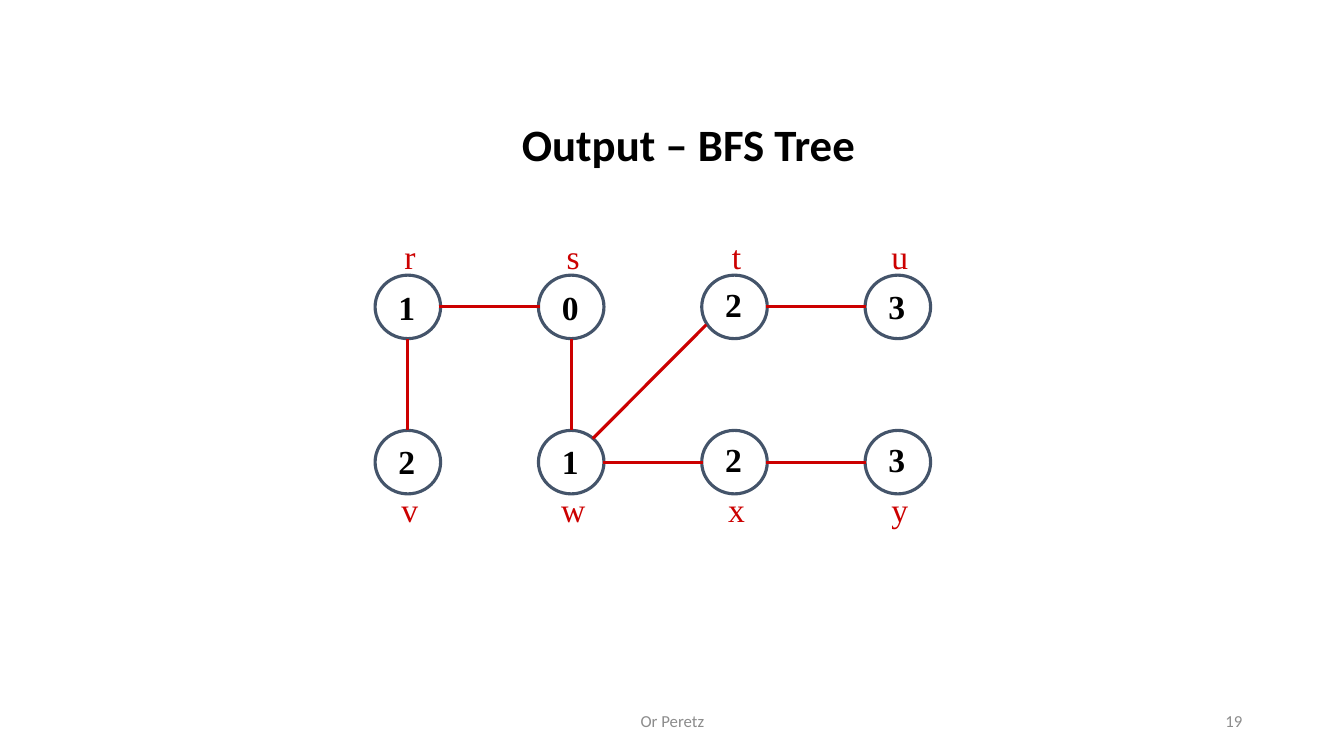
from lxml import etree
from pptx import Presentation
from pptx import util as u
from pptx.dml.color import RGBColor
from pptx.enum import shapes, text
from pptx.oxml.ns import qn

COLORS = {"ring": "44546A", "red": "CC0000", "black": "000000", "gray": "8C8C8C"}
NODE_WIDTH, NODE_HEIGHT = 0.65, 0.63
COLUMN_STEP, ROW_STEP = 1.62, 1.54
TEXT_HEIGHT = 0.5

# Each row of the tree: label offset from the node top, then (label, label width,
# distance, distance offset from the node top) for each column.
ROWS = [
    (-0.44, [("r", 0.31, "1", 0.07), ("s", 0.33, "0", 0.07),
             ("t", 0.29, "2", 0.04), ("u", 0.37, "3", 0.06)]),
    (0.53, [("v", 0.37, "2", 0.06), ("w", 0.44, "1", 0.06),
            ("x", 0.37, "2", 0.04), ("y", 0.37, "3", 0.04)]),
]

# Points on a node, as fractions of its width and height.
TOP, LEFT, BOTTOM, RIGHT = (0.5, 0), (0.02, 0.5), (0.5, 1), (0.98, 0.5)
UPPER_RIGHT, LOWER_LEFT = (0.83, 0.13), (0.07, 0.78)
EDGES = [
    ("r", RIGHT, "s", LEFT), ("t", RIGHT, "u", LEFT),
    ("w", RIGHT, "x", LEFT), ("x", RIGHT, "y", LEFT),
    ("r", BOTTOM, "v", TOP), ("s", BOTTOM, "w", TOP),
    ("w", UPPER_RIGHT, "t", LOWER_LEFT),
]


def color(name):
    return RGBColor.from_string(COLORS[name])


def add_text(page, box, words, size, font, color_name, bold=False,
             align=text.PP_ALIGN.CENTER, fitted=False):
    """Add one line of text; a fitted box hugs it without wrapping."""
    frame = page.shapes.add_textbox(*map(u.Inches, box)).text_frame
    frame.word_wrap = not fitted
    if fitted:
        frame.auto_size = text.MSO_AUTO_SIZE.SHAPE_TO_FIT_TEXT
    else:
        frame.vertical_anchor = text.MSO_ANCHOR.MIDDLE
    frame.text = words
    para = frame.paragraphs[0]
    para.alignment = align
    span = para.runs[0].font
    span.size, span.name, span.bold = u.Pt(size), font, bold
    span.color.rgb = color(color_name)
    return para


def add_node(page, left, top):
    ring = page.shapes.add_shape(
        shapes.MSO_SHAPE.OVAL,
        *map(u.Inches, (left, top, NODE_WIDTH, NODE_HEIGHT)))
    ring.shadow.inherit = False
    ring.fill.background()
    ring.line.color.rgb = color("ring")
    ring.line.width = u.Pt(2.25)


def add_edge(page, start, end):
    edge = page.shapes.add_connector(
        shapes.MSO_CONNECTOR.STRAIGHT, *map(u.Inches, start + end))
    edge.line.color.rgb = color("red")
    edge.line.width = u.Pt(2.25)
    etree.SubElement(edge._element.spPr, qn("a:effectLst"))


def add_tree(page, left, top):
    corners = {}
    for row, (label_offset, nodes) in enumerate(ROWS):
        for column, (label, width, distance, distance_offset) in enumerate(nodes):
            x, y = left + column * COLUMN_STEP, top + row * ROW_STEP
            corners[label] = (x, y)
            add_node(page, x, y)
            add_text(page, (x + 0.13, y + distance_offset, 0.37, TEXT_HEIGHT),
                     distance, 24, "Times New Roman", "black", True, fitted=True)
            label_left = x + (NODE_WIDTH - width) / 2 + 0.02
            add_text(page, (label_left, y + label_offset, width, TEXT_HEIGHT),
                     label, 24, "Times New Roman", "red", fitted=True)

    def point(label, fraction):
        x, y = corners[label]
        return (x + fraction[0] * NODE_WIDTH, y + fraction[1] * NODE_HEIGHT)

    for first, exit_side, second, entry_side in EDGES:
        add_edge(page, point(first, exit_side), point(second, entry_side))


def add_title(page, box):
    para = add_text(page, box, "Output – BFS Tree", 32, "Calibri", "black", True)
    para.line_spacing = 1.5


def add_footer(page, top):
    add_text(page, (4.42, top, 4.5, 0.4), "Or Peretz", 12, "Calibri", "gray")
    add_text(page, (9.42, top, 3, 0.4), "19", 12, "Calibri", "gray",
             align=text.PP_ALIGN.RIGHT)


def main():
    deck = Presentation()
    deck.slide_width, deck.slide_height = u.Inches(13.33), u.Inches(7.5)
    page = deck.slides.add_slide(deck.slide_layouts[6])
    add_tree(page, 3.72, 2.73)
    add_title(page, (1.08, 0.57, 11.5, 1.45))
    add_footer(page, 6.95)
    deck.save("out.pptx")


if __name__ == "__main__":
    main()
